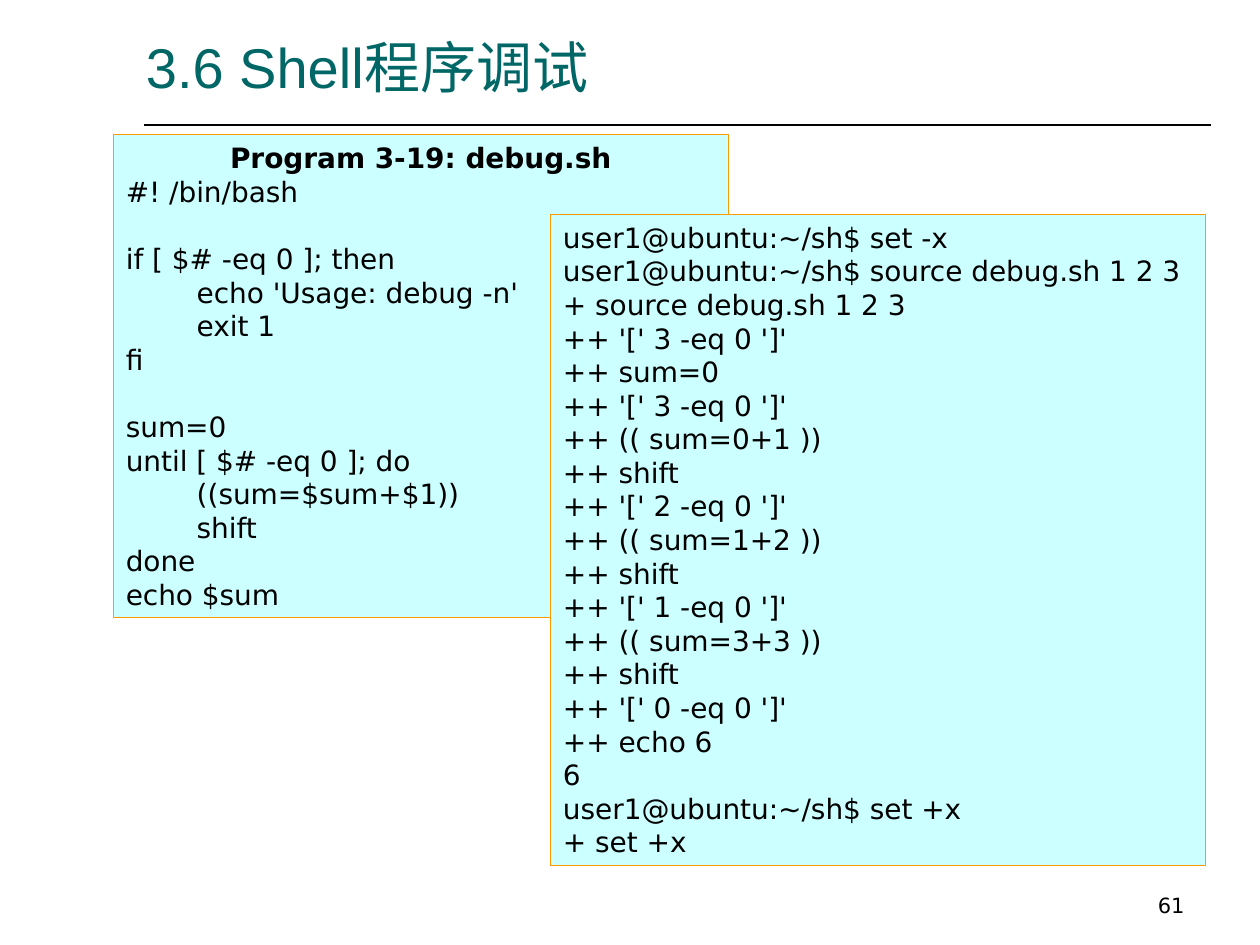
from lxml import etree
from pptx import Presentation
from pptx import util as u
from pptx.dml.color import RGBColor
from pptx.enum import shapes, text
from pptx.oxml import ns

deck = Presentation()
deck.slide_width, deck.slide_height = u.Inches(10), u.Inches(7.5)
column, row = deck.slide_width / 100, deck.slide_height / 75
slide = deck.slides.add_slide(deck.slide_layouts[6])


def paint(target, color):
    if hasattr(target, "solid"):
        target.solid()
        target = target.fore_color
    target.rgb = RGBColor.from_string(color)


def write(lines, left, top, width, height, *, size, font="DejaVu Sans", color="000000",
          align=text.PP_ALIGN.LEFT, anchor=text.MSO_ANCHOR.BOTTOM, heading=False, panel=None, border=None):
    place = int(left * column), int(top * row), int(width * column), int(height * row)
    if panel:
        box = slide.shapes.add_shape(shapes.MSO_SHAPE.RECTANGLE, *place)
        box.shadow.inherit = False
        paint(box.fill, panel)
        paint(box.line.fill, border)
        box.line.width = u.Pt(0.75)
    else:
        box = slide.shapes.add_textbox(*place)
    frame = box.text_frame
    frame.word_wrap = True
    frame.auto_size = text.MSO_AUTO_SIZE.SHAPE_TO_FIT_TEXT if panel else text.MSO_AUTO_SIZE.NONE
    frame.vertical_anchor = anchor
    after_gap = False
    for index, line in enumerate(lines):
        if not line:
            after_gap = True
            continue
        paragraph = frame.add_paragraph() if index else frame.paragraphs[0]
        paragraph.alignment = align
        if after_gap:
            paragraph.space_before = u.Pt(size * 1.2)
            after_gap = False
        if heading and index == 0:
            paragraph.alignment = text.PP_ALIGN.CENTER
        run = paragraph.add_run()
        run.text = line
        run.font.name = font
        run.font.size = u.Pt(size)
        run.font.bold = heading and index == 0
        paint(run.font.color, color)


rule_y = int(9.9 * row)
title_rule = slide.shapes.add_connector(
    shapes.MSO_CONNECTOR.STRAIGHT, int(11.4 * column), rule_y, int(96.1 * column), rule_y)
paint(title_rule.line.fill, "000000")
title_rule.line.width = u.Pt(1)
etree.SubElement(title_rule.element.spPr, ns.qn("a:effectLst"))

write(["61"], 71.7, 68.3, 23.3, 5, size=12, align=text.PP_ALIGN.RIGHT)
write(["3.6 Shell程序调试"], 10.6, 2.1, 84.7, 6.3, size=32, font="Arial", color="006666")

program = """Program 3-19: debug.sh
#! /bin/bash

if [ $# -eq 0 ]; then
        echo 'Usage: debug -n'
        exit 1
fi

sum=0
until [ $# -eq 0 ]; do
        ((sum=$sum+$1))
        shift
done
echo $sum"""

trace = """user1@ubuntu:~/sh$ set -x
user1@ubuntu:~/sh$ source debug.sh 1 2 3
+ source debug.sh 1 2 3
++ '[' 3 -eq 0 ']'
++ sum=0
++ '[' 3 -eq 0 ']'
++ (( sum=0+1 ))
++ shift
++ '[' 2 -eq 0 ']'
++ (( sum=1+2 ))
++ shift
++ '[' 1 -eq 0 ']'
++ (( sum=3+3 ))
++ shift
++ '[' 0 -eq 0 ']'
++ echo 6
6
user1@ubuntu:~/sh$ set +x
+ set +x"""

for listing, place, heading in (
    (program, (9, 10.7, 48.8, 38.3), True),
    (trace, (43.7, 17, 52, 51.7), False),
):
    write(listing.splitlines(), *place, size=16, heading=heading,
          anchor=text.MSO_ANCHOR.TOP, panel="CCFFFF", border="FF9900")

deck.save("out.pptx")
